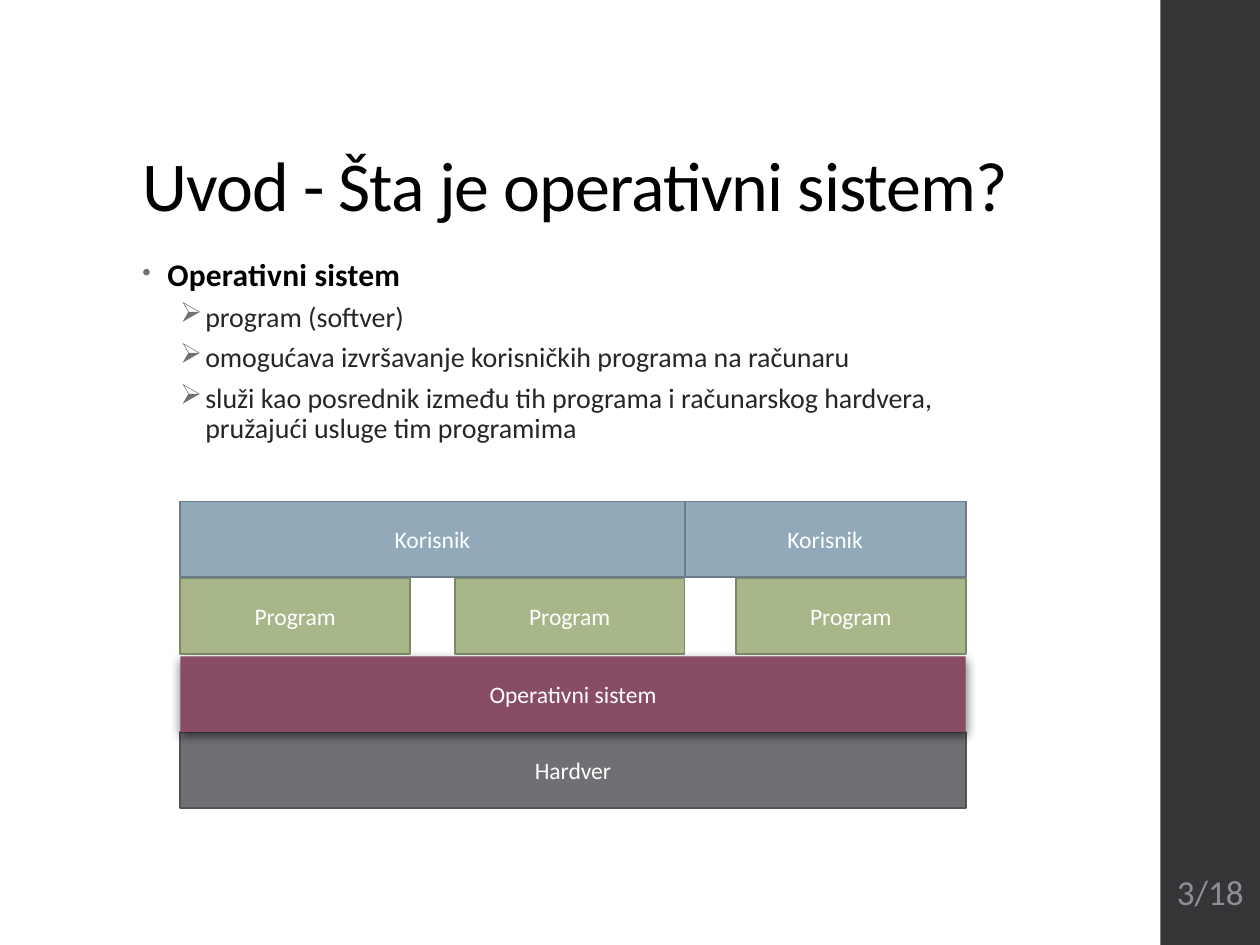
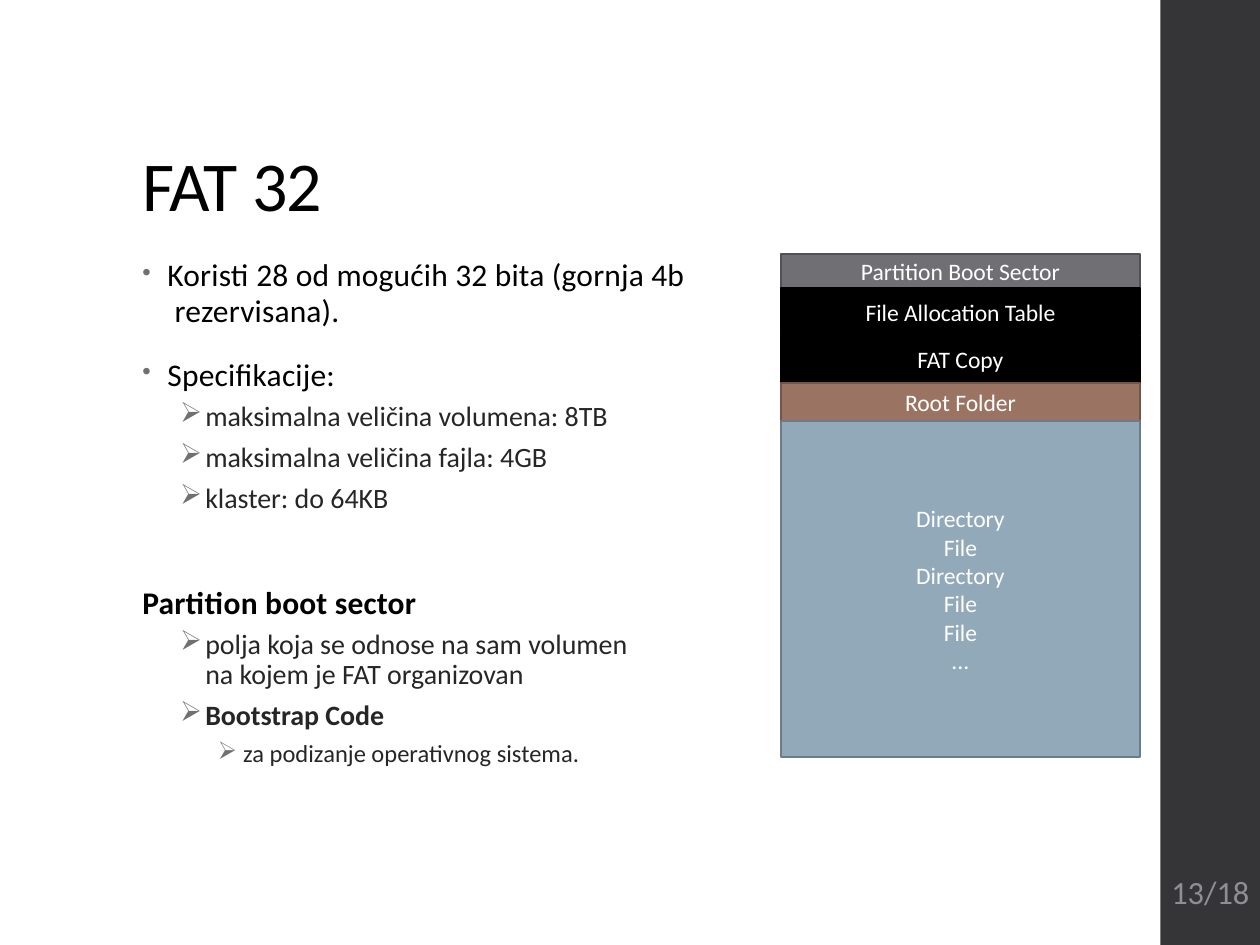
from copy import deepcopy

from lxml import etree
from pptx import Presentation
from pptx.dml.color import RGBColor
from pptx.enum import shapes, text
from pptx.oxml.ns import qn
from pptx.util import Pt

FONT = "Calibri"
PAGE = (720, 540)
SIDEBAR = (663.1, 0, 57.6, 540)
TITLE = (74.2, 28.8, 572.4, 104.4)
BODY_LEFT, BODY_TOP, BODY_HEIGHT = 74.2, 144, 342.7
NUMBER = (664.6, 486, 54, 46.8)
BULLET_GREY = "6F6F74"

# Box styles: fill and outline
HARDWARE = ("6F6F74", "525256")
SYSTEM = ("884C64", None)
PROGRAM = ("A7B789", "7C8765")
USER = ("92A9B9", "6C7D89")
TABLE = ("000000", "000000")
FOLDER = ("9B7362", "735549")

# Paragraph styles by outline level
LEVELS = [
    dict(size=18, color="000000", spacing=10, indent=14.4, line=0.95,
         before=14, after=2, bullet="•", bullet_size=80),
    dict(size=16, color="262626", spacing=0, indent=36, line=0.9,
         before=3, after=3, bullet="➢", bullet_size=100),
    dict(size=14, color="262626", spacing=0, indent=57.6, line=0.9,
         before=3, after=3, bullet="➢", bullet_size=100),
]
HANGING = 14.4
BOLD = {"bold": True}
SECTION = {"bold": True, "bullet": None, "indent": 0, "before": 37.6}

INTRO = {
    "title": "Uvod - Šta je operativni sistem?",
    "number": ("3/18", 20),
    "body_width": 533.5,
    "body": [
        (0, "Operativni sistem", BOLD),
        (1, "program (softver)", {}),
        (1, "omogućava izvršavanje korisničkih programa na računaru", {}),
        (1, "služi kao posrednik između tih programa i računarskog hardvera, \n"
            "pružajući usluge tim programima", {}),
    ],
}
FAT = {
    "title": "FAT 32",
    "number": ("13/18", 18.5),
    "body_width": 507.6,
    "body": [
        (0, "Koristi 28 od mogućih 32 bita (gornja 4b\n rezervisana).", {}),
        (0, "Specifikacije:", {}),
        (1, "maksimalna veličina volumena: 8TB", {}),
        (1, "maksimalna veličina fajla: 4GB", {}),
        (1, "klaster: do 64KB", {}),
        (0, "Partition boot sector", SECTION),
        (1, "polja koja se odnose na sam volumen \nna kojem je FAT organizovan", {}),
        (1, "Bootstrap Code", BOLD),
        (2, "za podizanje operativnog sistema.", {}),
    ],
}

LAYER_LEFT, LAYER_RIGHT, LAYER_HEIGHT = 103, 551.8, 43.2
LAYER_TOPS = {"user": 286.6, "program": 330.5, "system": 375.1, "hardware": 418.3}
PROGRAM_LEFTS, PROGRAM_WIDTH = (103, 259.9, 420.5), 131.3

VOLUME_LEFT, VOLUME_TOP, VOLUME_WIDTH = 446.4, 145.2, 204.8
VOLUME_PARTS = [
    ("Partition Boot Sector", 19.2, HARDWARE),
    ("File Allocation Table", 27.3, TABLE),
    ("FAT Copy", 27.3, TABLE),
    ("Root Folder", 21.6, FOLDER),
    ("Directory\nFile\nDirectory\nFile\nFile\n...", 192.2, USER),
]


def rgb(color):
    return RGBColor.from_string(color)


def place(bounds):
    return [Pt(value) for value in bounds]


def add_xml(parent, tag, **attributes):
    return etree.SubElement(parent, qn(tag), attributes)


def set_attributes(target, values):
    for name, value in values.items():
        setattr(target, name, value)


def format_runs(paragraph, size, color, bold=False, spacing=0):
    """Format the runs, and give line breaks the same properties."""
    for run in paragraph.runs:
        set_attributes(run.font, {"name": FONT, "size": Pt(size), "bold": bold})
        run.font.color.rgb = rgb(color)
        run.font._element.set("spc", str(spacing))
    for line_break in paragraph._p.findall(qn("a:br")):
        line_break.append(deepcopy(paragraph.runs[0].font._element))


def add_rectangle(slide, bounds, style):
    fill, line = style
    shape = slide.shapes.add_shape(shapes.MSO_SHAPE.RECTANGLE, *place(bounds))
    shape.shadow.inherit = False
    shape.fill.solid()
    shape.fill.fore_color.rgb = rgb(fill)
    if line:
        shape.line.color.rgb = rgb(line)
        shape.line.width = Pt(1.1)
    else:
        shape.line.fill.background()
    return shape


def write_centred(shape, words, size, color):
    frame = shape.text_frame
    frame.text = words
    set_attributes(frame, {"word_wrap": True,
                           "vertical_anchor": text.MSO_ANCHOR.MIDDLE})
    for paragraph in frame.paragraphs:
        paragraph.alignment = text.PP_ALIGN.CENTER
        format_runs(paragraph, size, color)


def add_box(slide, words, bounds, style):
    box = add_rectangle(slide, bounds, style)
    write_centred(box, words, 13.5, "FFFFFF")
    return box


def add_shadow(shape):
    effects = shape._element.spPr.find(qn("a:effectLst"))
    shadow = add_xml(effects, "a:outerShdw", blurRad=str(Pt(6)), dist=str(Pt(2)),
                     dir="5400000", algn="ctr", rotWithShape="0")
    color = add_xml(shadow, "a:srgbClr", val="000000")
    add_xml(color, "a:alpha", val="55000")


def write_title(slide, words):
    title = slide.shapes.title
    set_attributes(title, dict(zip(("left", "top", "width", "height"), place(TITLE))))
    frame = title.text_frame
    frame.text = words
    set_attributes(frame, {"word_wrap": True, "auto_size": text.MSO_AUTO_SIZE.NONE,
                           "vertical_anchor": text.MSO_ANCHOR.BOTTOM})
    paragraph = frame.paragraphs[0]
    set_attributes(paragraph, {"alignment": text.PP_ALIGN.LEFT, "line_spacing": 0.9})
    format_runs(paragraph, 40, "000000", spacing=-50)


def write_outline(slide, items, width):
    bounds = (BODY_LEFT, BODY_TOP, width, BODY_HEIGHT)
    frame = slide.shapes.add_textbox(*place(bounds)).text_frame
    frame.word_wrap = True
    for index, (level, words, changes) in enumerate(items):
        style = {**LEVELS[level], **changes}
        paragraph = frame.add_paragraph() if index else frame.paragraphs[0]
        paragraph.text = words
        set_attributes(paragraph, {
            "level": level, "line_spacing": style["line"],
            "space_before": Pt(style["before"]), "space_after": Pt(style["after"])})
        format_runs(paragraph, style["size"], style["color"],
                    style.get("bold", False), style["spacing"])
        if style["bullet"]:
            add_bullet(paragraph, style)


def add_bullet(paragraph, style):
    properties = paragraph._p.get_or_add_pPr()
    properties.set("marL", str(Pt(style["indent"])))
    properties.set("indent", str(-Pt(HANGING)))
    color = add_xml(properties, "a:buClr")
    add_xml(color, "a:srgbClr", val=BULLET_GREY)
    add_xml(properties, "a:buSzPct", val=str(style["bullet_size"] * 1000))
    add_xml(properties, "a:buChar", char=style["bullet"])


def add_content_slide(presentation, content):
    slide = presentation.slides.add_slide(presentation.slide_layouts[5])
    add_rectangle(slide, SIDEBAR, ("353537", None))
    write_title(slide, content["title"])
    write_outline(slide, content["body"], content["body_width"])
    words, size = content["number"]
    number = slide.shapes.add_textbox(*place(NUMBER))
    set_attributes(number.text_frame, {"margin_left": Pt(2), "margin_right": Pt(2)})
    write_centred(number, words, size, "8E8E94")
    return slide


def draw_layers(slide):
    """Stack hardware, system, programs and users from the bottom up."""
    def add_layer(words, layer, left, right, style):
        bounds = (left, LAYER_TOPS[layer], right - left, LAYER_HEIGHT)
        return add_box(slide, words, bounds, style)

    add_layer("Hardver", "hardware", LAYER_LEFT, LAYER_RIGHT, HARDWARE)
    add_shadow(add_layer("Operativni sistem", "system", LAYER_LEFT, LAYER_RIGHT, SYSTEM))
    for left in PROGRAM_LEFTS:
        add_layer("Program", "program", left, left + PROGRAM_WIDTH, PROGRAM)
    user_edges = (LAYER_LEFT, PROGRAM_LEFTS[1] + PROGRAM_WIDTH, LAYER_RIGHT)
    for left, right in zip(user_edges, user_edges[1:]):
        add_layer("Korisnik", "user", left, right, USER)


def draw_volume(slide):
    top = VOLUME_TOP
    for words, height, style in VOLUME_PARTS:
        add_box(slide, words, (VOLUME_LEFT, top, VOLUME_WIDTH, height), style)
        top += height


def main():
    presentation = Presentation()
    presentation.slide_width, presentation.slide_height = place(PAGE)
    draw_layers(add_content_slide(presentation, INTRO))
    draw_volume(add_content_slide(presentation, FAT))
    presentation.save("out.pptx")


if __name__ == "__main__":
    main()
